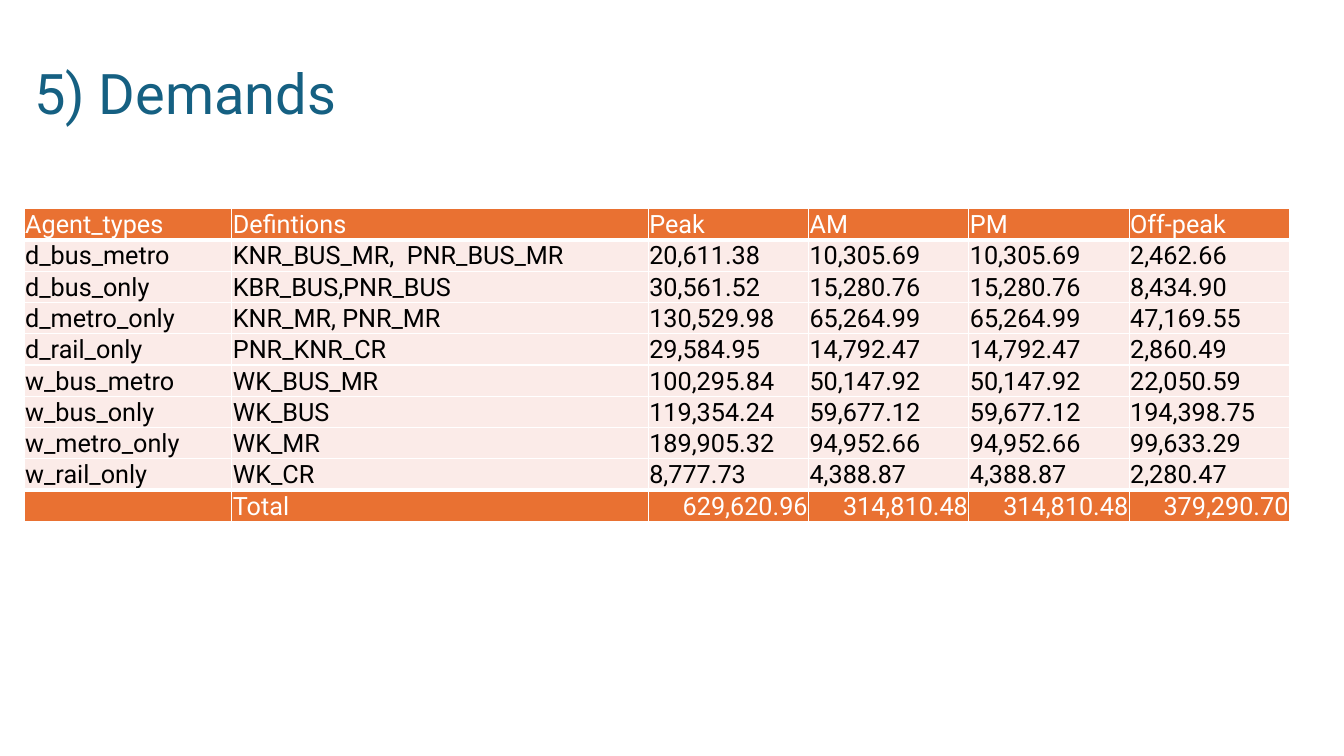
from lxml import etree
from pptx import Presentation
from pptx.dml.color import RGBColor
from pptx.enum.text import MSO_ANCHOR, PP_ALIGN
from pptx.oxml.ns import qn
from pptx.util import Inches, Pt

BOTTOM = MSO_ANCHOR.BOTTOM
LEFT, RIGHT = PP_ALIGN.LEFT, PP_ALIGN.RIGHT

TITLE = "5) Demands"
ROWS = [
    ("Agent_types", "Defintions", "Peak", "AM", "PM", "Off-peak"),
    ("d_bus_metro", "KNR_BUS_MR,  PNR_BUS_MR", "20,611.38", "10,305.69", "10,305.69", "2,462.66"),
    ("d_bus_only", "KBR_BUS,PNR_BUS", "30,561.52", "15,280.76", "15,280.76", "8,434.90"),
    ("d_metro_only", "KNR_MR, PNR_MR", "130,529.98", "65,264.99", "65,264.99", "47,169.55"),
    ("d_rail_only", "PNR_KNR_CR", "29,584.95", "14,792.47", "14,792.47", "2,860.49"),
    ("w_bus_metro", "WK_BUS_MR", "100,295.84", "50,147.92", "50,147.92", "22,050.59"),
    ("w_bus_only", "WK_BUS", "119,354.24", "59,677.12", "59,677.12", "194,398.75"),
    ("w_metro_only", "WK_MR", "189,905.32", "94,952.66", "94,952.66", "99,633.29"),
    ("w_rail_only", "WK_CR", "8,777.73", "4,388.87", "4,388.87", "2,280.47"),
    ("", "Total", "629,620.96", "314,810.48", "314,810.48", "379,290.70"),
]
COL_WIDTHS = [2.06, 4.13] + [1.59] * 4
ROW_HEIGHT = 0.3
FONT = "Roboto"
COLORS = {"title": "156082", "accent": "E97132", "body": "FBEBE8",
          "white": "FFFFFF", "black": "000000"}


def rgb(name):
    return RGBColor.from_string(COLORS[name])


def style_paragraph(p, size, color):
    for r in p.runs:
        r.font.name = FONT
        r.font.size = Pt(size)
        r.font.color.rgb = rgb(color)


def set_borders(cell, top, bottom):
    tc_pr = cell._tc.get_or_add_tcPr()
    widths = {"a:lnL": 1, "a:lnR": 1, "a:lnT": top, "a:lnB": bottom}
    for i, (tag, width) in enumerate(widths.items()):
        ln = etree.Element(qn(tag), w=str(Pt(width)))
        fill = etree.SubElement(ln, qn("a:solidFill"))
        etree.SubElement(fill, qn("a:srgbClr"), val=COLORS["white"])
        tc_pr.insert(i, ln)


def add_title(s):
    tf = s.shapes.add_textbox(Inches(0.24), Inches(0.11), Inches(10.37), Inches(1.2)).text_frame
    tf.word_wrap = True
    tf.vertical_anchor = BOTTOM
    tf.text = TITLE
    p = tf.paragraphs[0]
    p.line_spacing = 0.9
    p.space_after = Pt(6)
    style_paragraph(p, 40, "title")


def add_demand_table(s):
    table = s.shapes.add_table(
        len(ROWS), len(COL_WIDTHS), Inches(0.24), Inches(2.07),
        Inches(sum(COL_WIDTHS)), Inches(ROW_HEIGHT * len(ROWS))).table
    for column, width in zip(table.columns, COL_WIDTHS):
        column.width = Inches(width)
    last = len(ROWS) - 1
    for i, values in enumerate(ROWS):
        table.rows[i].height = Inches(ROW_HEIGHT)
        banner = i in (0, last)
        for j, value in enumerate(values):
            cell = table.cell(i, j)
            cell.text = value
            cell.vertical_anchor = BOTTOM
            cell.margin_left = cell.margin_right = cell.margin_top = Inches(0.01)
            cell.margin_bottom = 0
            cell.fill.solid()
            cell.fill.fore_color.rgb = rgb("accent" if banner else "body")
            set_borders(cell, 3 if i == last else 1, 3 if i == 0 else 1)
            p = cell.text_frame.paragraphs[0]
            p.alignment = RIGHT if i == last and j > 1 else LEFT
            p.font.bold = False
            style_paragraph(p, 18, "white" if banner else "black")
            for r in p.runs:
                r.font.bold = False


prs = Presentation()
prs.slide_width, prs.slide_height = Inches(13.33), Inches(7.5)
s = prs.slides.add_slide(prs.slide_layouts[6])
add_title(s)
add_demand_table(s)
prs.save("out.pptx")
